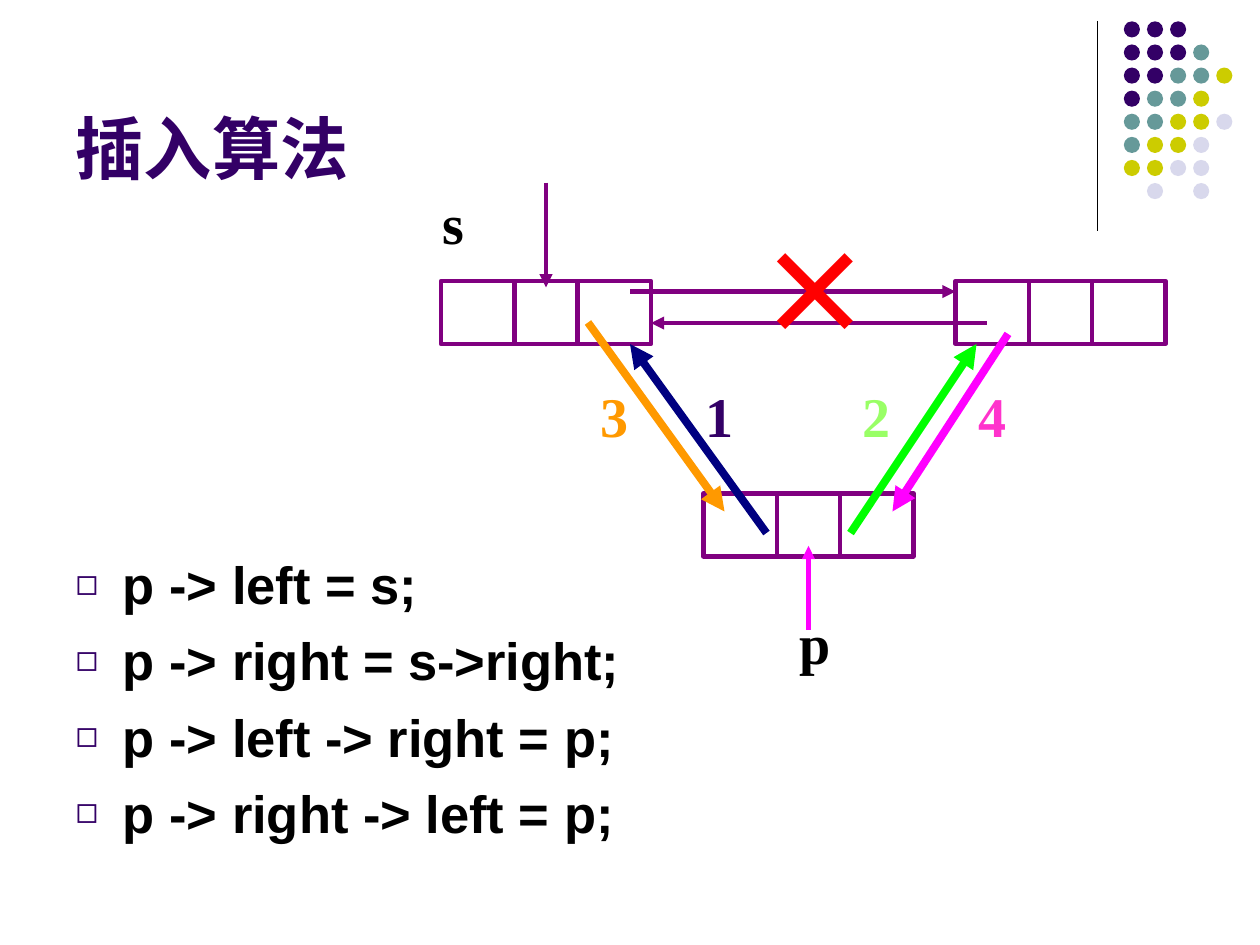
from dataclasses import dataclass

from lxml import etree
from pptx import Presentation
from pptx.dml.color import RGBColor
from pptx.enum.shapes import MSO_CONNECTOR, MSO_SHAPE
from pptx.enum.text import MSO_ANCHOR, MSO_AUTO_SIZE, PP_ALIGN
from pptx.oxml.ns import qn
from pptx.slide import Slide
from pptx.text.text import _Paragraph
from pptx.util import Pt

STRAIGHT = MSO_CONNECTOR.STRAIGHT
RECTANGLE, OVAL = MSO_SHAPE.RECTANGLE, MSO_SHAPE.OVAL
BOTTOM, TOP = MSO_ANCHOR.BOTTOM, MSO_ANCHOR.TOP
LEFT = PP_ALIGN.LEFT
FIXED_SIZE = MSO_AUTO_SIZE.NONE


@dataclass(frozen=True)
class Theme:
    indigo: str = "330066"
    teal: str = "669999"
    olive: str = "CCCC00"
    lavender: str = "D8D8EC"
    black: str = "000000"
    purple: str = "800080"
    magenta: str = "FF00FF"
    orange: str = "FF9900"
    navy: str = "000080"
    green: str = "00FF00"
    light_green: str = "99FF66"
    pink: str = "FF33CC"
    red: str = "FF0000"
    sans: str = "Arial"
    serif: str = "Times New Roman"
    cjk: str = "Noto Sans CJK SC"
    title_size: float = 39
    code_size: float = 30
    label_size: float = 32
    cross_size: float = 66
    rule: float = 0.75
    thin: float = 2.5
    thick: float = 4.5


THEME = Theme()


@dataclass(frozen=True)
class Line:
    start: tuple[float, float]
    end: tuple[float, float]
    color: str = THEME.purple
    width: float = THEME.thin
    arrow: bool = True


@dataclass(frozen=True)
class Label:
    text: str
    left: float
    top: float
    width: float
    color: str = THEME.black
    height: float = 46
    size: float = THEME.label_size
    font: str = THEME.serif
    space_before: float = 20


DOT_ROWS = ("III", "IIIT", "IITTO", "ITTO", "TTOOL", "TOOL", "OOLL", " L L")
DOT_COLORS = {"I": THEME.indigo, "T": THEME.teal, "O": THEME.olive, "L": THEME.lavender}
DOT_LEFT, DOT_TOP, DOT_PITCH, DOT_SIZE = 642.2, 12.2, 13.2, 9.2

NODE_WIDTH, NODE_HEIGHT = 120, 36
NODE_DIVIDERS = (42, 78)
NODES = ((402, 282), (252, 160.6), (546, 160.6))

LINKS = (
    Line((462, 360), (462, 312), THEME.magenta),
    Line((336, 184.3), (414, 292.3), THEME.orange, THEME.thick),
    Line((438, 304.6), (360, 196.6), THEME.navy, THEME.thick),
    Line((486, 304.6), (558, 196.6), THEME.green, THEME.thick),
    Line((576, 190.8), (510, 292.3), THEME.magenta, THEME.thick),
    Line((360, 166.6), (546, 166.6)),
    Line((564, 184.6), (372, 184.6)),
    Line((312, 104.4), (312, 164.2)),
)
LABELS = (
    Label("p", 450, 344.2, 108),
    Label("3", 336, 214.6, 48, THEME.orange),
    Label("1", 396, 214.6, 54, THEME.indigo),
    Label("2", 486, 214.6, 42, THEME.light_green),
    Label("4", 552, 214.6, 72, THEME.pink),
    Label("s", 246, 104.4, 72),
    Label("×", 426, 122.4, 66, THEME.red, 86.4, THEME.cross_size, THEME.cjk, 41.2),
)
STEPS = (
    "p -> left = s;",
    "p -> right = s->right;",
    "p -> left -> right = p;",
    "p -> right -> left = p;",
)


def rgb(color: str) -> RGBColor:
    return RGBColor.from_string(color)


def style_bold(paragraph: _Paragraph, font: str, size: float, color: str) -> None:
    paragraph.font.name = font
    paragraph.font.size = Pt(size)
    paragraph.font.bold = True
    paragraph.font.color.rgb = rgb(color)


def draw_line(slide: Slide, line: Line) -> None:
    connector = slide.shapes.add_connector(
        STRAIGHT, *(Pt(value) for value in line.start + line.end)
    )
    connector.line.color.rgb = rgb(line.color)
    connector.line.width = Pt(line.width)
    properties = connector._element.spPr
    if line.arrow:
        etree.SubElement(properties.find(qn("a:ln")), qn("a:tailEnd"), type="triangle")
    etree.SubElement(properties, qn("a:effectLst"))


def draw_dots(slide: Slide) -> None:
    for row, colors in enumerate(DOT_ROWS):
        for column, key in enumerate(colors):
            if key not in DOT_COLORS:
                continue
            dot = slide.shapes.add_shape(
                OVAL, Pt(DOT_LEFT + column * DOT_PITCH), Pt(DOT_TOP + row * DOT_PITCH),
                Pt(DOT_SIZE), Pt(DOT_SIZE),
            )
            dot.shadow.inherit = False
            dot.fill.solid()
            dot.fill.fore_color.rgb = rgb(DOT_COLORS[key])
            dot.line.fill.background()


def draw_node(slide: Slide, left: float, top: float) -> None:
    """Draw a list node split into left link, data and right link."""
    node = slide.shapes.add_shape(
        RECTANGLE, Pt(left), Pt(top), Pt(NODE_WIDTH), Pt(NODE_HEIGHT)
    )
    node.shadow.inherit = False
    node.fill.background()
    node.line.color.rgb = rgb(THEME.purple)
    node.line.width = Pt(THEME.thin)
    for offset in NODE_DIVIDERS:
        x = left + offset
        draw_line(slide, Line((x, top), (x, top + NODE_HEIGHT), arrow=False))


def draw_label(slide: Slide, label: Label) -> None:
    box = slide.shapes.add_textbox(
        Pt(label.left), Pt(label.top), Pt(label.width), Pt(label.height)
    )
    box.text_frame.word_wrap = True
    paragraph = box.text_frame.paragraphs[0]
    paragraph.text = label.text
    paragraph.space_before = Pt(label.space_before)
    style_bold(paragraph, label.font, label.size, label.color)


def fill_title(slide: Slide) -> None:
    title = slide.shapes.title
    title.left, title.top, title.width, title.height = Pt(36), Pt(9.4), Pt(594), Pt(102)
    title.text_frame.text = "插入算法"
    title.text_frame.auto_size = FIXED_SIZE
    title.text_frame.vertical_anchor = BOTTOM
    paragraph = title.text_frame.paragraphs[0]
    paragraph.alignment = LEFT
    style_bold(paragraph, THEME.sans, THEME.title_size, THEME.indigo)


def add_square_bullet(paragraph: _Paragraph) -> None:
    properties = paragraph._p.get_or_add_pPr()
    properties.set("marL", str(Pt(27)))
    properties.set("indent", str(-Pt(27)))
    bullet_color = etree.SubElement(properties, qn("a:buClr"))
    etree.SubElement(bullet_color, qn("a:srgbClr"), val=THEME.indigo)
    etree.SubElement(properties, qn("a:buSzPct"), val="70000")
    etree.SubElement(properties, qn("a:buChar"), char="◻")


def fill_steps(slide: Slide) -> None:
    body = slide.placeholders[1]
    body.left, body.top, body.width, body.height = Pt(36), Pt(312), Pt(648), Pt(178)
    body.text_frame.text = "\n".join(STEPS)
    body.text_frame.auto_size = FIXED_SIZE
    body.text_frame.vertical_anchor = TOP
    for paragraph in body.text_frame.paragraphs:
        add_square_bullet(paragraph)
        paragraph.space_before = Pt(7.5)
        style_bold(paragraph, THEME.sans, THEME.code_size, THEME.black)


def main() -> None:
    presentation = Presentation()
    presentation.slide_width, presentation.slide_height = Pt(720), Pt(540)
    slide = presentation.slides.add_slide(presentation.slide_layouts[1])
    fill_title(slide)
    fill_steps(slide)
    draw_line(slide, Line((627, 12), (627, 132), THEME.black, THEME.rule, arrow=False))
    draw_dots(slide)
    for left, top in NODES:
        draw_node(slide, left, top)
    for link in LINKS:
        draw_line(slide, link)
    for label in LABELS:
        draw_label(slide, label)
    presentation.save("out.pptx")


if __name__ == "__main__":
    main()
